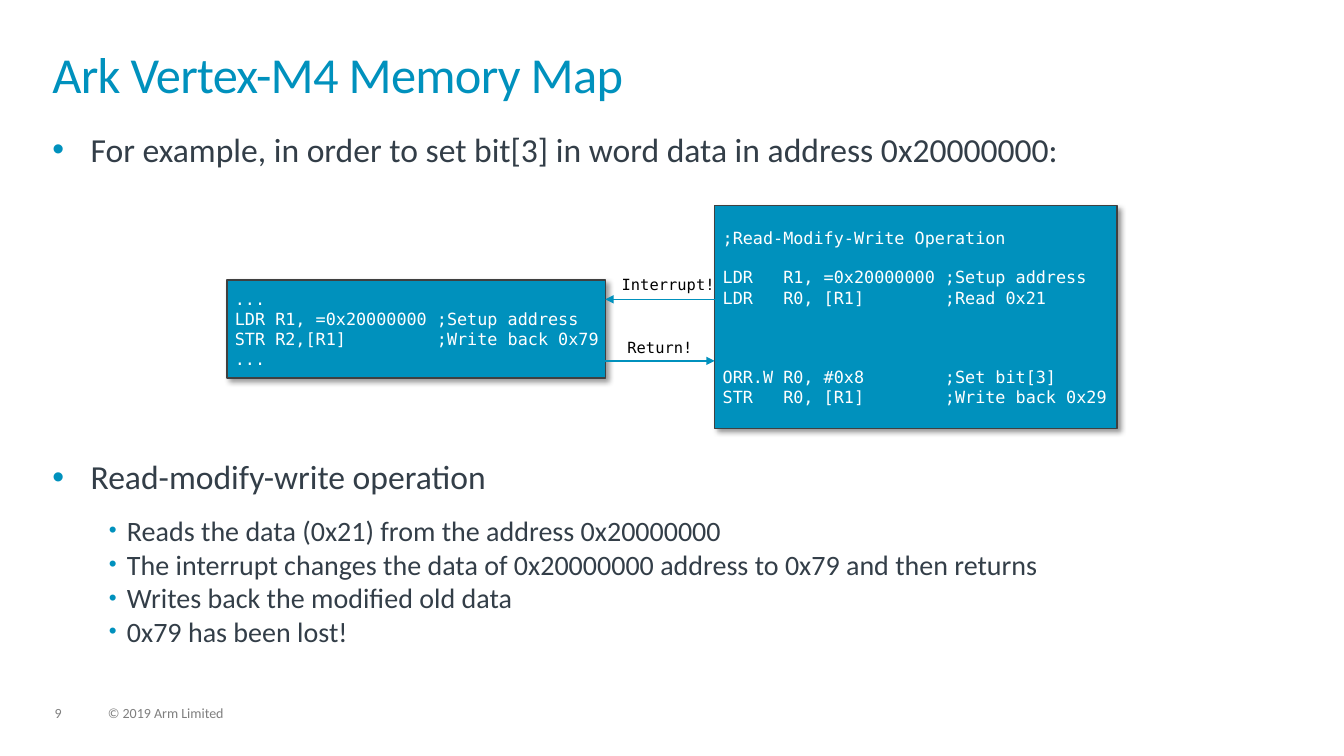
from lxml.etree import SubElement
from pptx import Presentation
from pptx.dml.color import RGBColor
from pptx.enum.shapes import MSO_CONNECTOR, MSO_SHAPE
from pptx.enum.text import MSO_ANCHOR, MSO_AUTO_SIZE, PP_ALIGN
from pptx.oxml import parse_xml
from pptx.oxml.ns import nsdecls, qn
from pptx.util import Inches, Pt

BLUE = RGBColor(0x00, 0x91, 0xBD)
SLATE = RGBColor(0x33, 0x3E, 0x48)
EDGE = RGBColor(0x40, 0x40, 0x40)
GRAY = RGBColor(0x7F, 0x7F, 0x7F)
WHITE = RGBColor(0xFF, 0xFF, 0xFF)
BLACK = RGBColor(0x00, 0x00, 0x00)
SANS, MONO = "Calibri", "DejaVu Sans Mono"
COLS, ROWS = 160, 90
CODE_LINE = 14  # height of one code line in points

SHADOW = f"""<a:effectLst {nsdecls('a')}>
  <a:outerShdw blurRad="{Pt(4)}" dist="{Pt(3)}" dir="2700000" algn="tl" rotWithShape="0">
    <a:srgbClr val="000000"><a:alpha val="40000"/></a:srgbClr>
  </a:outerShdw></a:effectLst>"""


def bullet(para, left, hang, size):
    props = para._p.get_or_add_pPr()
    props.set("marL", str(Inches(left)))
    props.set("indent", str(-Inches(hang)))
    color = SubElement(props, qn("a:buClr"))
    SubElement(color, qn("a:srgbClr"), val=str(BLUE))
    SubElement(props, qn("a:buSzPct"), val=str(size * 1000))
    SubElement(props, qn("a:buFont"), typeface="Arial")
    SubElement(props, qn("a:buChar"), char="•")


def write(frame, text, size=12, font=SANS, color=SLATE, align=PP_ALIGN.LEFT,
          before=0, after=0, line=1.0, level=0, mark=None, track=0):
    """Add one paragraph; the first call fills the empty one."""
    para = frame.paragraphs[0]
    if para.runs:
        para = frame.add_paragraph()
    para.level = level
    if mark:
        bullet(para, *mark)
    para.alignment = align
    para.line_spacing = line
    para.space_before, para.space_after = Pt(before), Pt(after)
    run = para.add_run()
    run.text = text
    run.font.size, run.font.name = Pt(size), font
    run.font.color.rgb = color
    if track:
        run.font._element.set("spc", str(int(track * 100)))


class Deck:
    def __init__(self):
        self.show = Presentation()
        self.show.slide_width, self.show.slide_height = Inches(13.33), Inches(7.5)
        self.page = self.show.slides.add_slide(self.show.slide_layouts[5])

    def x(self, cols):
        return int(self.show.slide_width * cols / COLS)

    def y(self, rows):
        return int(self.show.slide_height * rows / ROWS)

    def place(self, left, top, width, height):
        return self.x(left), self.y(top), self.x(width), self.y(height)

    def frame(self, shape, inset=0.0, wrap=True, anchor=MSO_ANCHOR.TOP):
        frame = shape.text_frame
        frame.margin_left = frame.margin_right = Inches(inset)
        frame.margin_top = frame.margin_bottom = Inches(inset)
        frame.word_wrap, frame.vertical_anchor = wrap, anchor
        frame.auto_size = MSO_AUTO_SIZE.NONE
        return frame

    def title(self, text, *area):
        head = self.page.shapes.title
        head.left, head.top, head.width, head.height = self.place(*area)
        write(self.frame(head), text, size=36, color=BLUE, line=0.85, track=-0.5)

    def box(self, *area, wrap=True):
        return self.frame(self.page.shapes.add_textbox(*self.place(*area)), wrap=wrap)

    def code(self, lines, *area, anchor=MSO_ANCHOR.TOP):
        """Draw a code panel from (text, blank lines above) pairs."""
        panel = self.page.shapes.add_shape(MSO_SHAPE.RECTANGLE, *self.place(*area))
        panel.fill.solid()
        panel.fill.fore_color.rgb = BLUE
        panel.line.color.rgb, panel.line.width = EDGE, Pt(1)
        panel._element.spPr.append(parse_xml(SHADOW))
        frame = self.frame(panel, inset=0.08, wrap=False, anchor=anchor)
        for text, gap in lines:
            write(frame, text, font=MONO, color=WHITE, before=gap * CODE_LINE)

    def arrow(self, start, end, row):
        link = self.page.shapes.add_connector(
            MSO_CONNECTOR.STRAIGHT, self.x(start), self.y(row), self.x(end), self.y(row))
        link.line.color.rgb, link.line.width = BLUE, Pt(1)
        SubElement(link.line._get_or_add_ln(), qn("a:tailEnd"), type="triangle")
        SubElement(link._element.spPr, qn("a:effectLst"))

    def label(self, text, *area):
        write(self.box(*area, wrap=False), text, size=11, font=MONO,
              color=BLACK, align=PP_ALIGN.CENTER)


def main():
    deck = Deck()

    # Footer and title
    for text, left, width in (("9", 6.5, 4), ("© 2019 Arm Limited", 12.84, 60.84)):
        write(deck.box(left, 84.12, width, 1.8), text, size=10, color=GRAY, line=0.9)
    deck.title("Ark Vertex-M4 Memory Map", 6.24, 6.24, 147.4, 8.64)

    # Bullets, with room for the diagram between the two main points
    body = deck.box(6.24, 15.36, 147.4, 64.92)
    for text, gap in (
        ("For example, in order to set bit[3] in word data in address 0x20000000:", 0),
        ("Read-modify-write operation", 193),
    ):
        write(body, text, size=24, before=gap, after=12, mark=(0.38, 0.38, 100))
    for text in (
        "Reads the data (0x21) from the address 0x20000000",
        "The interrupt changes the data of 0x20000000 address to 0x79 and then returns",
        "Writes back the modified old data",
        "0x79 has been lost!",
    ):
        write(body, text, size=20, level=1, mark=(0.74, 0.18, 80))

    # Main program and interrupt handler
    near, far = 72.06, 85.08
    deck.code([
        (";Read-Modify-Write Operation", 0),
        ("LDR   R1, =0x20000000 ;Setup address", 1),
        ("LDR   R0, [R1]        ;Read 0x21", 0),
        ("ORR.W R0, #0x8        ;Set bit[3]", 3),
        ("STR   R0, [R1]        ;Write back 0x29", 0),
    ], far, 24.48, 47.9, 26.52, anchor=MSO_ANCHOR.MIDDLE)
    deck.code([
        ("...", 0),
        ("LDR R1, =0x20000000 ;Setup address", 0),
        ("STR R2,[R1]         ;Write back 0x79", 0),
        ("...", 0),
    ], 27, 33.36, near - 27, 11.64)

    # Control flow between them
    deck.arrow(far, near, 35.64)
    deck.label("Interrupt!", 74.04, 32.76, far - 74.04, 2.88)
    deck.arrow(near, far, 42.96)
    deck.label("Return!", near, 40.2, far - near, 2.88)

    deck.show.save("out.pptx")


if __name__ == "__main__":
    main()
